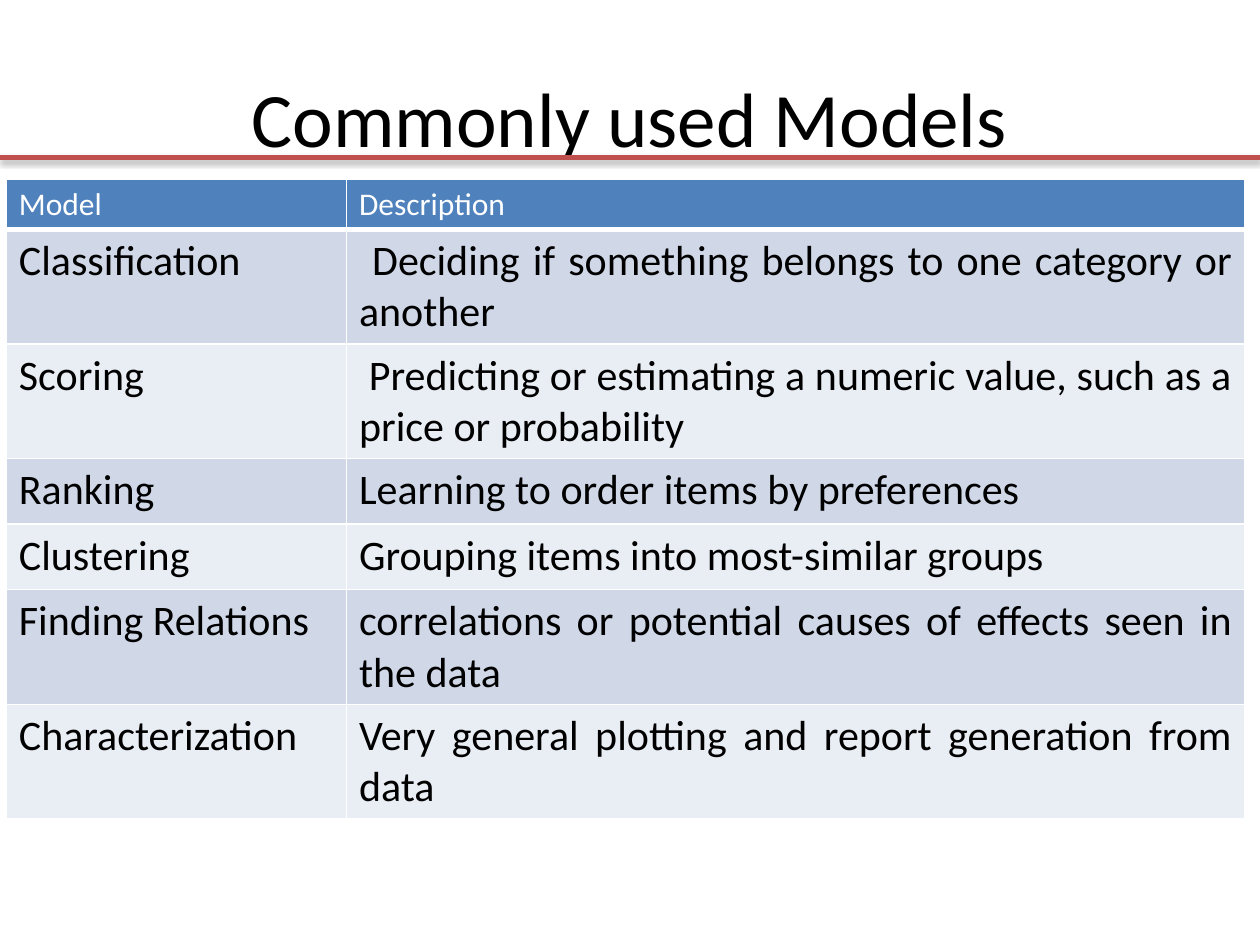
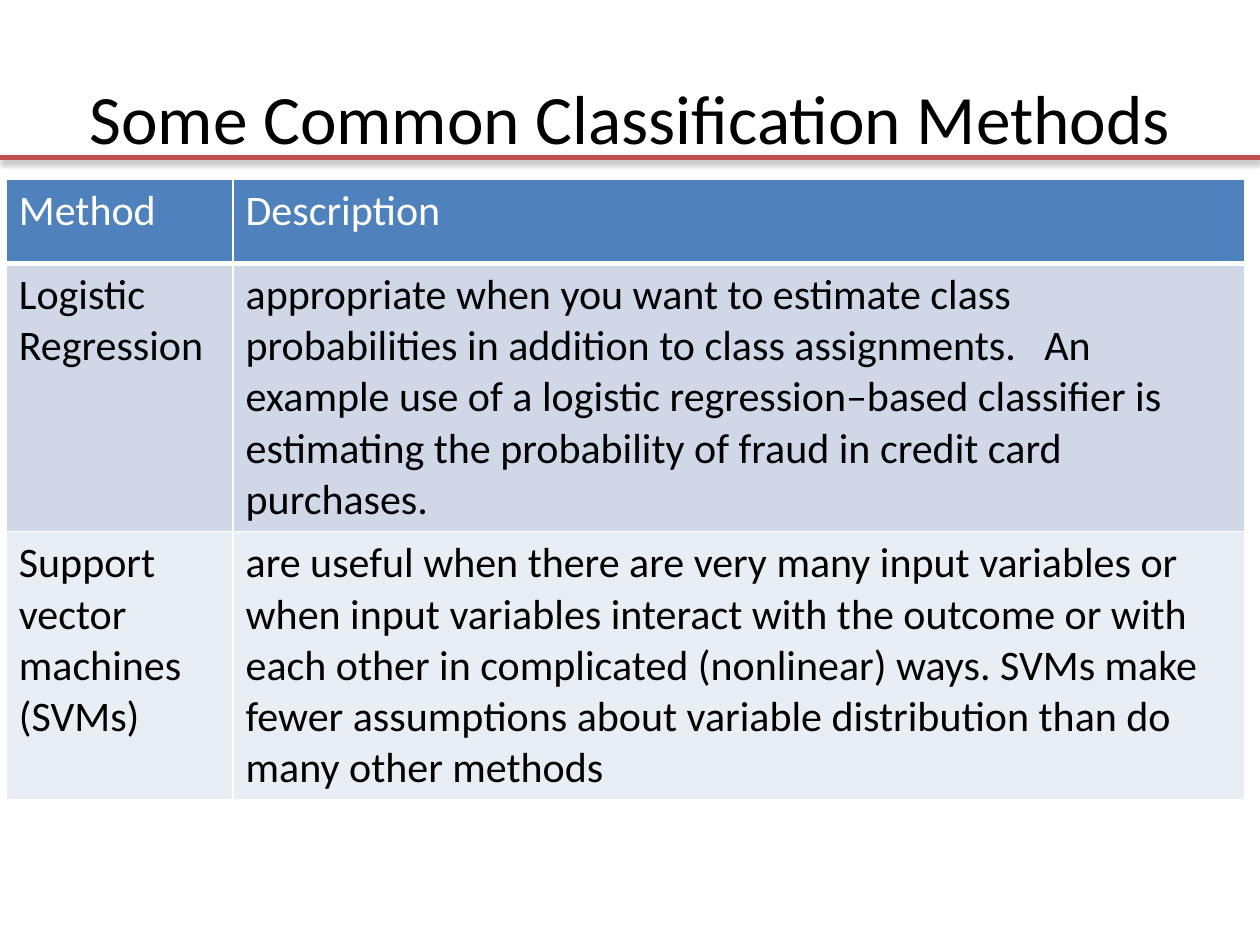
from dataclasses import dataclass

from lxml.etree import SubElement
from pptx import Presentation
from pptx.dml.color import RGBColor
from pptx.enum.shapes import MSO_CONNECTOR as Connector
from pptx.enum.text import MSO_ANCHOR as Anchor, PP_ALIGN as Align
from pptx.oxml.ns import qn
from pptx.slide import Slide
from pptx.table import _Cell as Cell
from pptx.text.text import TextFrame
from pptx.util import Pt

EMU_PER_PX = 9144
PAGE_WIDTH, PAGE_HEIGHT = 1000, 750
TABLE_LEFT, TABLE_TOP, TABLE_WIDTH = 5, 142, 983
RULE_TOP = 125


@dataclass(frozen=True)
class Theme:
    font: str = "Calibri"
    ink: str = "000000"
    paper: str = "FFFFFF"
    header: str = "4F81BD"
    bands: tuple[str, str] = ("D0D8E8", "E9EDF4")
    rule: str = "C0504D"
    rule_width: float = 3
    border_width: float = 1
    header_border_width: float = 3
    title_size: float = 44
    long_title_size: float = 39.6
    header_size: float = 18
    body_size: float = 24


THEME = Theme()


@dataclass(frozen=True)
class TablePage:
    title: str
    title_size: float
    header_size: float
    first_column: int
    row_heights: tuple[int, ...]
    rows: tuple[tuple[str, str], ...]
    description_align: Align = Align.LEFT


PAGES = (
    TablePage(
        title="Commonly used Models",
        title_size=THEME.title_size,
        header_size=THEME.header_size,
        first_column=270,
        row_heights=(40, 91, 91, 52, 52, 91, 91),
        rows=(
            ("Model", "Description"),
            ("Classification", " Deciding if something belongs to one category or another"),
            ("Scoring", " Predicting or estimating a numeric value, such as a price or probability"),
            ("Ranking", "Learning to order items by preferences"),
            ("Clustering", "Grouping items into most-similar groups"),
            ("Finding Relations", "correlations or potential causes of effects seen in the data"),
            ("Characterization", "Very general plotting and report generation from data"),
        ),
        description_align=Align.JUSTIFY,
    ),
    TablePage(
        title="Some Common Classification Methods",
        title_size=THEME.long_title_size,
        header_size=THEME.body_size,
        first_column=180,
        row_heights=(67, 213, 213),
        rows=(
            ("Method", "Description"),
            (
                "Logistic Regression",
                "appropriate when you want to estimate class probabilities in addition to "
                "class assignments.   An example use of a logistic regression–based classifier "
                "is estimating the probability of fraud in credit card purchases.",
            ),
            (
                "Support vector machines (SVMs)",
                "are useful when there are very many input variables or when input variables "
                "interact with the outcome or with each other in complicated (nonlinear) ways. "
                "SVMs make fewer assumptions about variable distribution than do many other methods",
            ),
        ),
    ),
)


def px(length: int) -> int:
    return length * EMU_PER_PX


def write_text(frame: TextFrame, text: str, *, size: float, color: str = THEME.ink,
               align: Align = Align.LEFT) -> None:
    para = frame.paragraphs[0]
    para.alignment = align
    span = para.add_run()
    span.text = text
    span.font.name = THEME.font
    span.font.size = Pt(size)
    span.font.bold = False
    span.font.color.rgb = RGBColor.from_string(color)


def add_title(page: Slide, content: TablePage) -> None:
    box = page.shapes.add_textbox(px(50), px(30), px(900), px(125))
    box.text_frame.word_wrap = True
    box.text_frame.vertical_anchor = Anchor.MIDDLE
    write_text(box.text_frame, content.title, size=content.title_size, align=Align.CENTER)


def add_rule(page: Slide) -> None:
    rule = page.shapes.add_connector(
        Connector.STRAIGHT, 0, px(RULE_TOP), px(PAGE_WIDTH), px(RULE_TOP))
    rule.line.color.rgb = RGBColor.from_string(THEME.rule)
    rule.line.width = Pt(THEME.rule_width)
    effects = SubElement(rule._element.spPr, qn("a:effectLst"))
    shadow = SubElement(effects, qn("a:outerShdw"), blurRad=str(Pt(3.1)), dist=str(Pt(1.8)),
                        dir="5400000", rotWithShape="0")
    color = SubElement(shadow, qn("a:srgbClr"), val=THEME.ink)
    SubElement(color, qn("a:alpha"), val="35000")


def style_cell(cell: Cell, fill: str, bottom_width: float) -> None:
    properties = cell._tc.get_or_add_tcPr()
    for side in "LRTB":
        width = bottom_width if side == "B" else THEME.border_width
        border = SubElement(properties, qn(f"a:ln{side}"), w=str(Pt(width)))
        SubElement(SubElement(border, qn("a:solidFill")), qn("a:srgbClr"), val=THEME.paper)
    cell.fill.solid()
    cell.fill.fore_color.rgb = RGBColor.from_string(fill)


def add_table(page: Slide, content: TablePage) -> None:
    table = page.shapes.add_table(
        len(content.rows), 2, px(TABLE_LEFT), px(TABLE_TOP),
        px(TABLE_WIDTH), px(sum(content.row_heights))).table
    table.columns[0].width = px(content.first_column)
    table.columns[1].width = px(TABLE_WIDTH - content.first_column)
    for row_index, (texts, height) in enumerate(zip(content.rows, content.row_heights)):
        table.rows[row_index].height = px(height)
        is_header = row_index == 0
        fill = THEME.header if is_header else THEME.bands[(row_index - 1) % 2]
        aligns = (Align.LEFT, Align.LEFT if is_header else content.description_align)
        for column_index, (text, align) in enumerate(zip(texts, aligns)):
            cell = table.cell(row_index, column_index)
            style_cell(cell, fill, THEME.header_border_width if is_header else THEME.border_width)
            write_text(cell.text_frame, text, align=align,
                       size=content.header_size if is_header else THEME.body_size,
                       color=THEME.paper if is_header else THEME.ink)


def main() -> None:
    deck = Presentation()
    deck.slide_width, deck.slide_height = px(PAGE_WIDTH), px(PAGE_HEIGHT)
    for content in PAGES:
        page = deck.slides.add_slide(deck.slide_layouts[6])
        page.background.fill.solid()
        page.background.fill.fore_color.rgb = RGBColor.from_string(THEME.paper)
        add_title(page, content)
        add_table(page, content)
        add_rule(page)
    deck.save("out.pptx")


if __name__ == "__main__":
    main()
